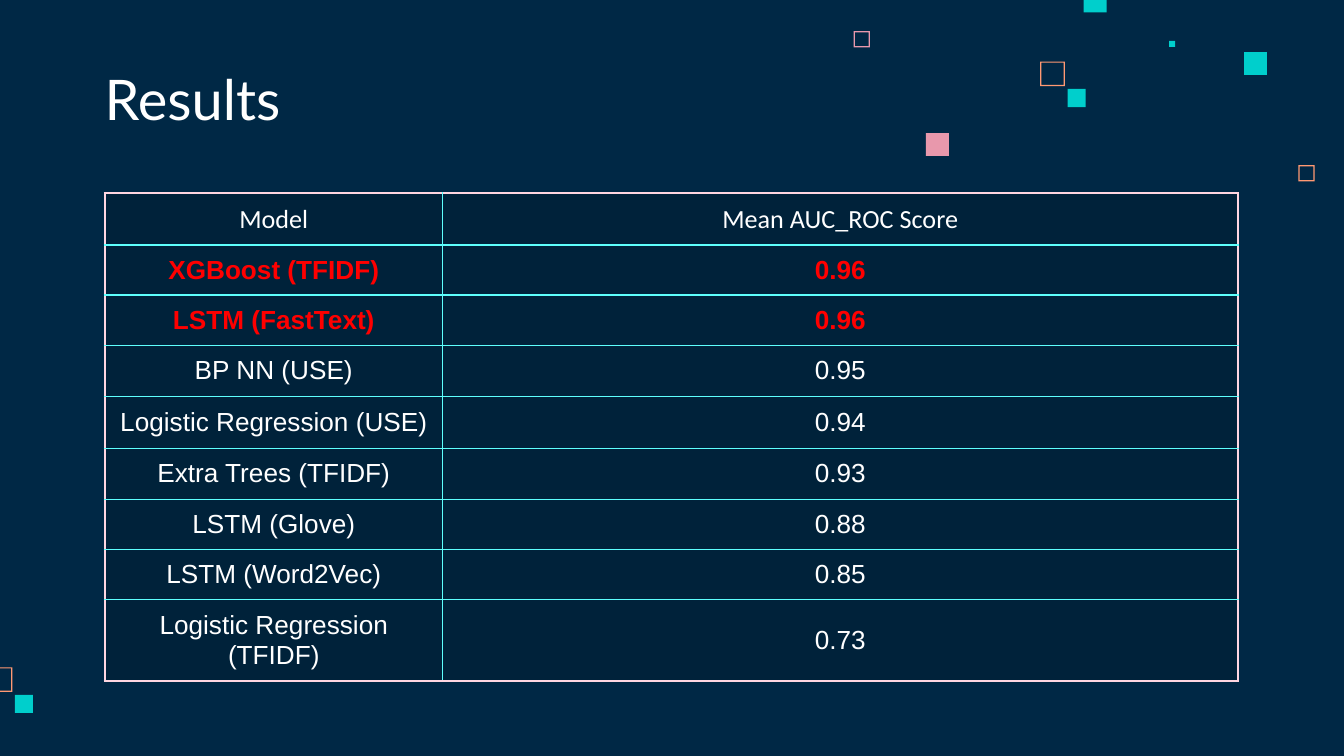
import pptx
import pptx.dml.color
import pptx.enum.shapes
import pptx.enum.text
import pptx.oxml
import pptx.oxml.ns
import pptx.util
from lxml import etree

Pt = pptx.util.Pt
RGBColor = pptx.dml.color.RGBColor
ALIGN = pptx.enum.text.PP_ALIGN
ANCHOR = pptx.enum.text.MSO_ANCHOR
qn = pptx.oxml.ns.qn

NAVY = RGBColor(0x00, 0x28, 0x45)
WHITE = RGBColor(0xFF, 0xFF, 0xFF)
BLACK = RGBColor(0x00, 0x00, 0x00)
RED = RGBColor(0xFF, 0x00, 0x00)
TEAL = RGBColor(0x00, 0xCF, 0xCC)
ORANGE = RGBColor(0xFF, 0x99, 0x73)
ROSE = RGBColor(0xE8, 0x98, 0xAC)
PALE_PINK = RGBColor(0xFF, 0xD6, 0xE1)
AQUA = RGBColor(0x5E, 0xFF, 0xFD)

# left, top, side, colour
FRAMES = [
    (695.6, 88.5, 8.7, ORANGE),
    (457.3, 16.7, 8.7, ROSE),
    (557.3, 33, 13.2, ORANGE),
    (-6.6, 357.5, 13.2, ORANGE),
]
SQUARES = [
    (626.3, 21.9, 3.3, TEAL),
    (580.6, -5.6, 12.3, TEAL),
    (666.5, 28, 12.2, TEAL),
    (572, 47.7, 9.7, TEAL),
    (496.1, 71.3, 12.3, ROSE),
    (8, 372.3, 9.7, TEAL),
]
RESULTS = [
    ("Model", "Mean AUC_ROC Score"),
    ("XGBoost (TFIDF)", "0.96"),
    ("LSTM (FastText)", "0.96"),
    ("BP NN (USE)", "0.95"),
    ("Logistic Regression (USE)", "0.94"),
    ("Extra Trees (TFIDF)", "0.93"),
    ("LSTM (Glove)", "0.88"),
    ("LSTM (Word2Vec)", "0.85"),
    ("Logistic Regression (TFIDF)", "0.73"),
]
BEST_ROWS = (1, 2)
COLUMN_WIDTHS = [181, 426]
ROW_HEIGHTS = [27.8] + [26.5] * 2 + [27.6] * 3 + [26.5] * 2 + [42.4]


def apply(target, values):
    for name, value in values.items():
        setattr(target, name, value)


class SlideBuilder:
    title_font = {"name": "Lato", "size": Pt(30)}
    header_font = {"name": "Calibri", "size": Pt(14), "bold": False}
    body_font = {"name": "Arial", "size": Pt(14), "bold": False}
    best_font = {"name": "Arial", "size": Pt(14), "bold": True}
    title_frame = {
        "word_wrap": True, "vertical_anchor": ANCHOR.BOTTOM,
        "margin_left": Pt(7.2), "margin_right": Pt(7.2),
        "margin_top": Pt(7.2), "margin_bottom": Pt(7.2),
    }
    cell_format = {
        "vertical_anchor": ANCHOR.MIDDLE,
        "margin_left": Pt(7.2), "margin_right": Pt(7.2),
        "margin_top": Pt(5), "margin_bottom": Pt(5),
    }
    frame_band = 0.65
    cell_opacity = 15

    def __init__(self, slide):
        self.slide = slide

    def background(self, color):
        fill = self.slide.background.fill
        fill.solid()
        fill.fore_color.rgb = color

    def paint(self, shape, color):
        shape.shadow.inherit = False
        shape.fill.solid()
        shape.fill.fore_color.rgb = color
        shape.line.fill.background()

    def square(self, left, top, side, color):
        kind = pptx.enum.shapes.MSO_SHAPE.RECTANGLE
        shape = self.slide.shapes.add_shape(kind, Pt(left), Pt(top), Pt(side), Pt(side))
        self.paint(shape, color)

    def frame(self, left, top, side, color):
        """Draw a hollow square; the inner contour runs the opposite way."""
        right, bottom = left + side, top + side
        band = self.frame_band
        outer = [(left, top), (left, bottom), (right, bottom), (right, top)]
        inner = [(right - band, top + band), (right - band, bottom - band),
                 (left + band, bottom - band), (left + band, top + band)]
        outer, inner = ([(Pt(x), Pt(y)) for x, y in ring] for ring in (outer, inner))
        builder = self.slide.shapes.build_freeform(*outer[0])
        builder.add_line_segments(outer[1:], close=True)
        builder.move_to(*inner[0])
        builder.add_line_segments(inner[1:], close=True)
        self.paint(builder.convert_to_shape(), color)

    def add_text(self, paragraph, text, font, color, align):
        paragraph.alignment = align
        run = paragraph.add_run()
        run.text = text
        apply(run.font, font)
        run.font.color.rgb = color

    def title(self, text, left, top, width, height):
        box = self.slide.shapes.add_textbox(Pt(left), Pt(top), Pt(width), Pt(height))
        apply(box.text_frame, self.title_frame)
        self.add_text(box.text_frame.paragraphs[0], text, self.title_font, WHITE, ALIGN.LEFT)

    def cell_fill(self, cell, color):
        cell.fill.solid()
        cell.fill.fore_color.rgb = color
        rgb = cell._tc.tcPr.find(".//" + qn("a:srgbClr"))
        etree.SubElement(rgb, qn("a:alpha"), val=str(self.cell_opacity * 1000))

    def cell_borders(self, cell, outer_sides):
        """Line all four sides, heavier and pink on the table's outer edge."""
        for position, side in enumerate("LRTB"):
            color, width = (PALE_PINK, 1.5) if side in outer_sides else (AQUA, 0.75)
            line = etree.Element(qn("a:ln" + side), w=str(Pt(width)))
            solid = etree.SubElement(line, qn("a:solidFill"))
            etree.SubElement(solid, qn("a:srgbClr"), val=str(color))
            cell._tc.tcPr.insert(position, line)

    def table(self, rows, left, top, widths, heights, best_rows):
        last_row, last_column = len(rows) - 1, len(widths) - 1
        table = self.slide.shapes.add_table(
            len(rows), len(widths), Pt(left), Pt(top), Pt(sum(widths)), Pt(sum(heights))
        ).table
        apply(table, {"first_row": False, "horz_banding": False})
        for column, width in zip(table.columns, widths):
            column.width = Pt(width)
        for row_index, (row, height) in enumerate(zip(rows, heights)):
            table.rows[row_index].height = Pt(height)
            best = row_index in best_rows
            font = self.best_font if best else self.body_font
            if row_index == 0:
                font = self.header_font
            for column_index, text in enumerate(row):
                cell = table.cell(row_index, column_index)
                apply(cell, self.cell_format)
                self.add_text(cell.text_frame.paragraphs[0], text, font,
                              RED if best else WHITE, ALIGN.CENTER)
                self.cell_fill(cell, BLACK)
                edges = {"L": column_index == 0, "R": column_index == last_column,
                         "T": row_index == 0, "B": row_index == last_row}
                self.cell_borders(cell, [side for side, outer in edges.items() if outer])


def main():
    deck = pptx.Presentation()
    apply(deck, {"slide_width": Pt(720), "slide_height": Pt(405)})
    builder = SlideBuilder(deck.slides.add_slide(deck.slide_layouts[6]))
    builder.background(NAVY)
    for frame in FRAMES:
        builder.frame(*frame)
    for square in SQUARES:
        builder.square(*square)
    builder.title("Results", 49, 32.4, 372.2, 45.4)
    builder.table(RESULTS, 56.2, 103.5, COLUMN_WIDTHS, ROW_HEIGHTS, BEST_ROWS)
    deck.save("out.pptx")


if __name__ == "__main__":
    main()
